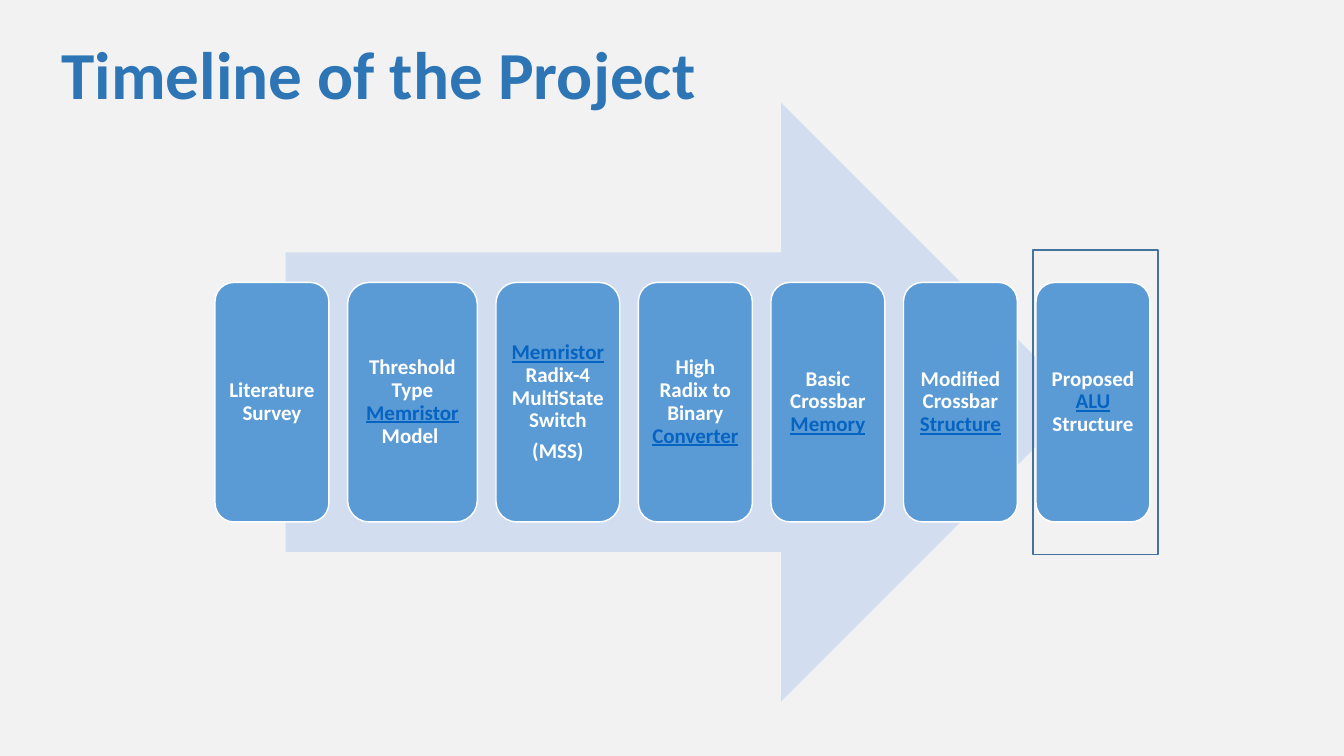
from pptx import Presentation
from pptx import util as u
from pptx.dml import color
from pptx.enum import shapes, text

COLORS = {
    "background": "F2F2F2", "title": "2E75B6", "arrow": "D2DEEF", "step": "5B9BD5",
    "white": "FFFFFF", "term": "0563C1", "frame": "43739E",
}
PLAIN = {"name": "Calibri", "size": u.Pt(15), "bold": True, "underline": False}
TERM = {**PLAIN, "underline": True}
HEADING = {**PLAIN, "size": u.Pt(48)}
STEP_PARAGRAPH = {"alignment": text.PP_ALIGN.CENTER, "line_spacing": 0.9, "space_after": u.Pt(5.25)}
INSET = u.Cm(0.15)
STEP_FRAME = {
    "word_wrap": True, "vertical_anchor": text.MSO_ANCHOR.MIDDLE,
    "margin_left": INSET, "margin_right": INSET, "margin_top": INSET, "margin_bottom": INSET,
}
STEPS = [
    (2.87, [[("Literature Survey", False)]]),
    (3.27, [[("Threshold Type ", False), ("Memristor", True), (" Model ", False)]]),
    (3.12, [[("Memristor", True), (" Radix-4 MultiStateSwitch", False)], [("(MSS)", False)]]),
    (2.87, [[("High Radix to Binary ", False), ("Converter", True)]]),
    (2.87, [[("Basic Crossbar ", False), ("Memory", True)]]),
    (2.87, [[("Modified Crossbar ", False), ("Structure", True)]]),
    (2.87, [[("Proposed ", False), ("ALU", True), (" Structure", False)]]),
]
STEP_GAP = 0.47


def rgb(name):
    """Return the named colour."""
    return color.RGBColor.from_string(COLORS[name])


def apply_format(target, values):
    """Set each attribute in values on the target."""
    for name, value in values.items():
        setattr(target, name, value)


def add_span(para, words, values, ink):
    """Add one formatted run to a paragraph."""
    span = para.add_run()
    span.text = words
    apply_format(span.font, values)
    span.font.color.rgb = rgb(ink)


def add_block(slide, kind, box, fill=None, line=None):
    """Add a flat preset shape in a box given in centimetres."""
    block = slide.shapes.add_shape(kind, *map(u.Cm, box))
    block.shadow.inherit = False
    if fill:
        block.fill.solid()
        block.fill.fore_color.rgb = rgb(fill)
    else:
        block.fill.background()
    if line:
        block.line.color.rgb = rgb(line)
        block.line.width = u.Pt(1)
    else:
        block.line.fill.background()
    return block


def add_title(slide, box):
    """Add the slide heading."""
    frame = slide.shapes.add_textbox(*map(u.Cm, box)).text_frame
    apply_format(frame, {"word_wrap": True, "auto_size": text.MSO_AUTO_SIZE.SHAPE_TO_FIT_TEXT})
    add_span(frame.paragraphs[0], "Timeline of the Project", HEADING, "title")


def add_step(slide, box, lines):
    """Add one rounded step with its paragraphs."""
    step = add_block(slide, shapes.MSO_SHAPE.ROUNDED_RECTANGLE, box, "step", "white")
    frame = step.text_frame
    apply_format(frame, STEP_FRAME)
    for index, spans in enumerate(lines):
        para = frame.add_paragraph() if index else frame.paragraphs[0]
        apply_format(para, STEP_PARAGRAPH)
        for words, is_term in spans:
            add_span(para, words, TERM if is_term else PLAIN, "term" if is_term else "white")


def add_timeline(slide, box):
    """Add the arrow, the row of steps and the frame around the last step."""
    left, top, width, height = box
    add_block(slide, shapes.MSO_SHAPE.RIGHT_ARROW,
              (left + 1.78, top, width - 3.53, height), "arrow")
    step_height = height * 0.4
    step_top = top + (height - step_height) / 2
    step_left = left
    for step_width, lines in STEPS:
        add_step(slide, (step_left, step_top, step_width, step_height), lines)
        step_left += step_width + STEP_GAP
    last_left = left + width - STEPS[-1][0]
    add_block(slide, shapes.MSO_SHAPE.RECTANGLE,
              (last_left - 0.08, step_top - 0.82, 3.15, step_height + 1.64), line="frame")


def main():
    """Build and save the deck."""
    deck = Presentation()
    deck.slide_width, deck.slide_height = u.Cm(33.87), u.Cm(19.05)
    slide = deck.slides.add_slide(deck.slide_layouts[6])
    slide.background.fill.solid()
    slide.background.fill.fore_color.rgb = rgb("background")
    add_title(slide, (1.3, 0.69, 17.42, 2.31))
    add_timeline(slide, (5.42, 2.59, 23.56, 15.09))
    deck.save("out.pptx")


if __name__ == "__main__":
    main()
